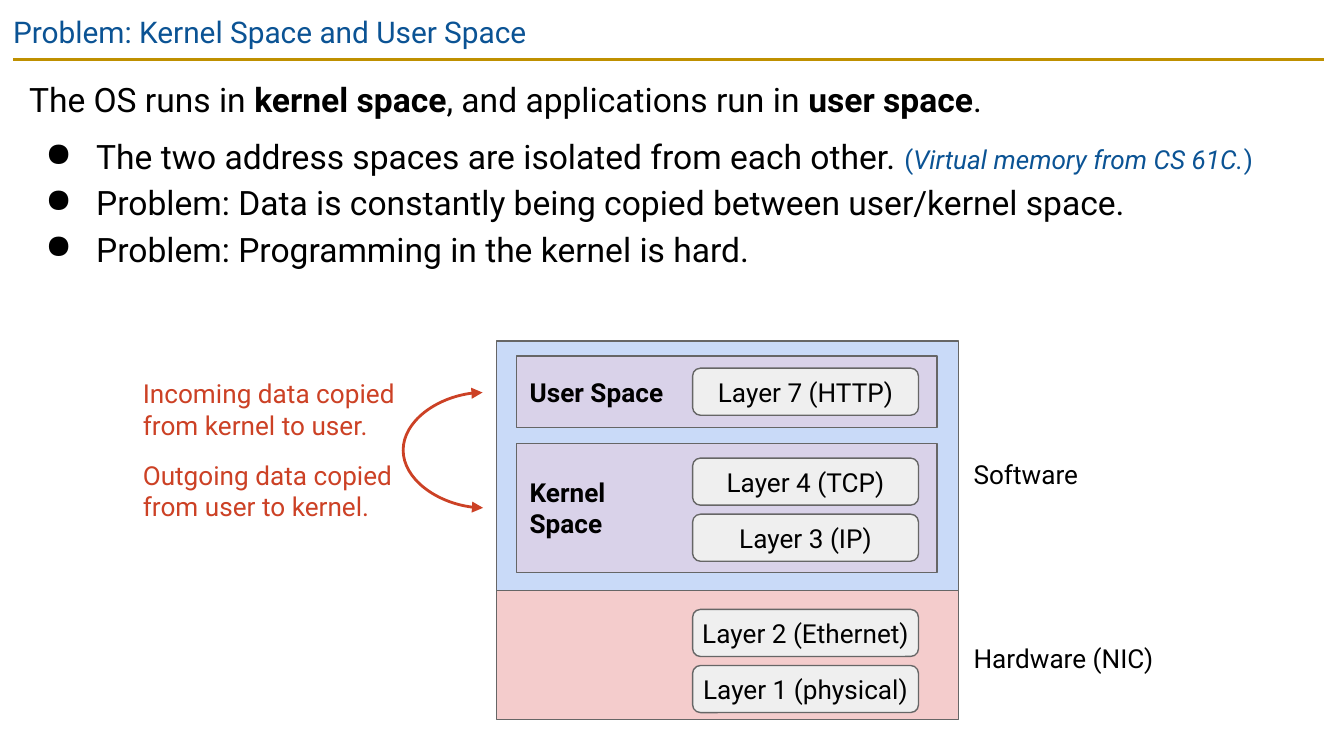
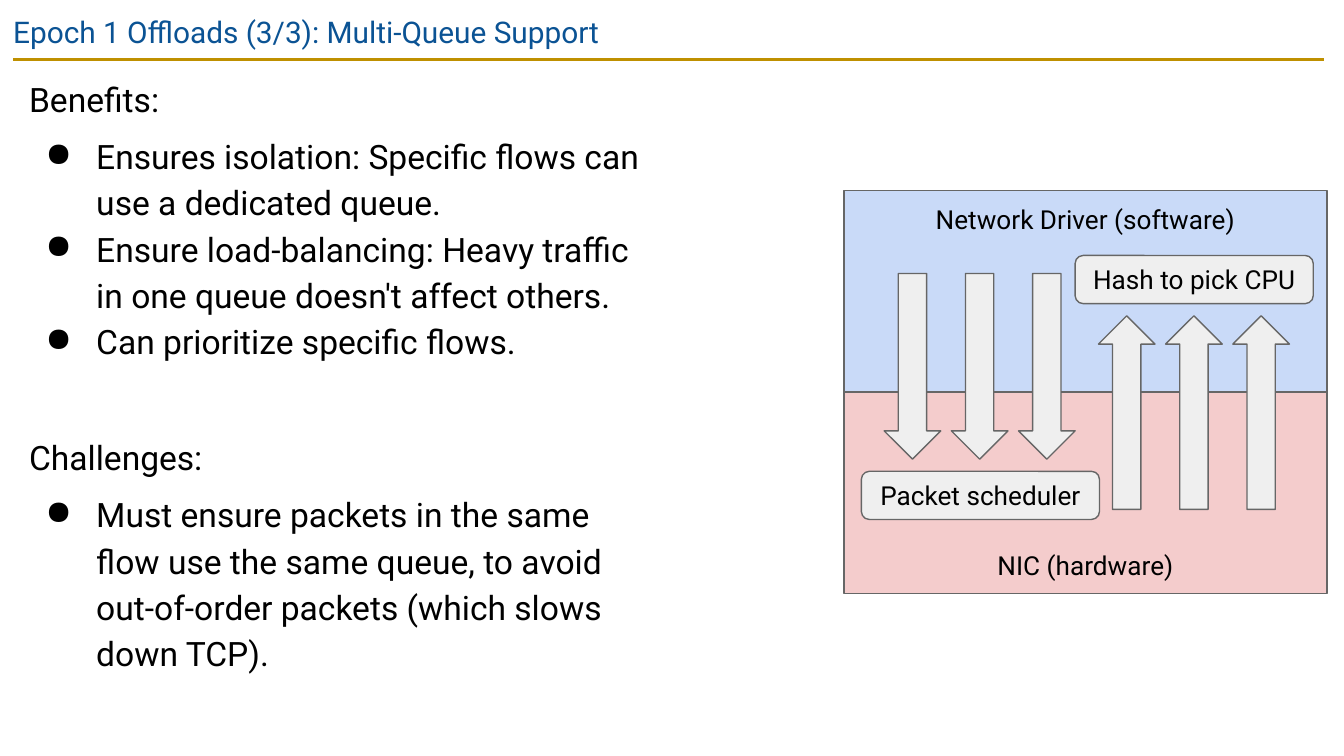
from lxml import etree
from pptx import Presentation
from pptx.dml.color import RGBColor
from pptx.enum.shapes import MSO_CONNECTOR, MSO_SHAPE
from pptx.enum.text import MSO_ANCHOR, MSO_AUTO_SIZE, PP_ALIGN
from pptx.oxml.ns import qn
from pptx.util import Cm, Pt

RECT, ROUND = MSO_SHAPE.RECTANGLE, MSO_SHAPE.ROUNDED_RECTANGLE
DOWN, UP = MSO_SHAPE.DOWN_ARROW, MSO_SHAPE.UP_ARROW
STRAIGHT, CURVE = MSO_CONNECTOR.STRAIGHT, MSO_CONNECTOR.CURVE
TOP, MID, BASE = MSO_ANCHOR.TOP, MSO_ANCHOR.MIDDLE, MSO_ANCHOR.BOTTOM
LEFT, CENTER = PP_ALIGN.LEFT, PP_ALIGN.CENTER
GROW = MSO_AUTO_SIZE.SHAPE_TO_FIT_TEXT

FONT = "Roboto"
BLACK, BLUE, GOLD, RED = "000000", "0B5394", "BF9000", "CC4125"
SKY, PINK, LILAC = "C9DAF8", "F4CCCC", "D9D2E9"
PALE, GREY = "EFEFEF", "666666"
WIDE, SLIM = 0.25, 0.08


def color(code):
    return RGBColor.from_string(code)


def style(run, size=14, code=BLACK, bold=False, italic=False):
    font = run.font
    font.name, font.size = FONT, Pt(size)
    font.bold, font.italic = bold, italic
    font.color.rgb = color(code)


def set_up(frame, pad_x, pad_y, anchor=TOP):
    frame.word_wrap = True
    frame.vertical_anchor = anchor
    frame.margin_left = frame.margin_right = Cm(pad_x)
    frame.margin_top = frame.margin_bottom = Cm(pad_y)


def write(frame, text, align=LEFT, **look):
    frame.text = text
    for par in frame.paragraphs:
        par.alignment = align
        for run in par.runs:
            style(run, **look)


def add_text(slide, box, pad=SLIM):
    frame = slide.shapes.add_textbox(*map(Cm, box)).text_frame
    set_up(frame, pad, pad)
    return frame


def add_note(slide, box, text, code=BLACK):
    frame = add_text(slide, box)
    frame.auto_size = GROW
    write(frame, text, code=code)
    return frame


def add_block(slide, kind, box, fill, text="", pads=(SLIM, SLIM),
              anchor=MID, align=CENTER, bold=False):
    block = slide.shapes.add_shape(kind, *map(Cm, box))
    block.shadow.inherit = False
    block.fill.solid()
    block.fill.fore_color.rgb = color(fill)
    block.line.color.rgb = color(GREY)
    block.line.width = Pt(0.75)
    if text:
        set_up(block.text_frame, *pads, anchor)
        write(block.text_frame, text, align, bold=bold)


def add_line(slide, kind, ends, code):
    line = slide.shapes.add_connector(kind, *map(Cm, ends))
    line.line.color.rgb = color(code)
    line.line.width = Pt(1.5)
    etree.SubElement(line._element.spPr, qn("a:effectLst"))
    return line


def add_curve(slide, x, top, foot, bulge):
    """Draw a double-headed arc that swings left by bulge."""
    span = 0.01
    line = add_line(slide, CURVE, (x, top, x + span, foot), RED)
    props = line._element.spPr
    guides = props.find(qn("a:prstGeom")).get_or_add_avLst()
    ratio = round(-bulge / span * 100000)
    etree.SubElement(guides, qn("a:gd"), name="adj1", fmla=f"val {ratio}")
    for tip in ("a:headEnd", "a:tailEnd"):
        etree.SubElement(props.find(qn("a:ln")), qn(tip), type="triangle")


def add_bullet(par):
    props = par._p.get_or_add_pPr()
    props.set("marL", str(Cm(1.27)))
    props.set("indent", str(-Cm(0.96)))
    tint = etree.SubElement(props, qn("a:buClr"))
    etree.SubElement(tint, qn("a:srgbClr"), val=BLACK)
    etree.SubElement(props, qn("a:buChar"), char="●")


def add_body(slide, box, parts):
    """Write (heading, bullets) parts; each line is a list of (text, look)."""
    frame = add_text(slide, box, WIDE)
    par = None
    for head, items in parts:
        for rank, line in enumerate([head, *items]):
            later = par is not None
            par = frame.add_paragraph() if later else frame.paragraphs[0]
            par.line_spacing = 1.15
            gap = 37 if later and rank == 0 else 6 if rank < 2 else 0
            par.space_before = Pt(gap)
            if rank:
                add_bullet(par)
            for text, look in line:
                run = par.add_run()
                run.text = text
                style(run, **{"size": 18, **look})


def plain(text):
    return [(text, {})]


def add_page(deck, title):
    slide = deck.slides.add_slide(deck.slide_layouts[6])
    add_line(slide, STRAIGHT, (0.25, 1.12, 25.02, 1.12), GOLD)
    frame = add_text(slide, (0, 0, 25.4, 1.09), WIDE)
    write(frame, title, size=16, code=BLUE)
    return slide


def draw_stack(slide, x, y, w):
    """Draw the layer stack with its side labels."""
    add_block(slide, RECT, (x, y, w, 4.72), SKY)
    add_block(slide, RECT, (x, y + 4.71, w, 2.44), PINK)
    spaces = [("User Space", 0.28, 1.35), ("Kernel\vSpace", 1.93, 2.44)]
    for name, top, high in spaces:
        add_block(slide, RECT, (x + 0.38, y + top, w - 0.79, high), LILAC,
                  name, (WIDE, SLIM), align=LEFT, bold=True)
    groups = [
        (0.51, ["Layer 7 (HTTP)"]),
        (2.21, ["Layer 4 (TCP)", "Layer 3 (IP)"]),
        (5.07, ["Layer 2 (Ethernet)", "Layer 1 (physical)"]),
    ]
    for top, names in groups:
        for row, name in enumerate(names):
            box = (x + 3.71, y + top + 1.06 * row, 4.27, 0.89)
            add_block(slide, ROUND, box, PALE, name)
    side = x + w + 0.2
    add_note(slide, (side, y + 2.14, 2.31, 0.76), "Software")
    add_note(slide, (side, y + 5.61, 3.76, 0.76), "Hardware (NIC)")


def draw_copies(slide, x, y):
    """Draw the notes on copied data and their arc."""
    frame = add_note(slide, (x, y, 4.95, 2.9),
                     "Incoming data copied from kernel to user.\n"
                     "Outgoing data copied from user to kernel.", RED)
    last = frame.paragraphs[1]
    last.space_before = last.space_after = Pt(10)
    add_curve(slide, x + 6.5, y + 0.36, y + 2.54, 1.5)


def draw_queues(slide, x, y, w, h):
    """Draw the driver and the NIC with queues between them."""
    half = h / 2
    halves = [("Network Driver (software)", 0, SKY, TOP),
              ("NIC (hardware)", half, PINK, BASE)]
    for name, top, fill, anchor in halves:
        add_block(slide, RECT, (x, y + top, w, half), fill, name,
                  (WIDE, WIDE), anchor)
    flows = [
        (DOWN, 0.76, 1.57, 3.51, "Packet scheduler", 0.33, 5.31),
        (UP, 4.81, 2.37, 3.66, "Hash to pick CPU", 4.37, 1.23),
    ]
    for kind, left, top, high, name, tag_x, tag_y in flows:
        for col in range(3):
            box = (x + left + 1.27 * col, y + top, 1.07, high)
            add_block(slide, kind, box, PALE)
        add_block(slide, ROUND, (x + tag_x, y + tag_y, 4.5, 0.91), PALE,
                  name, (WIDE, WIDE))


def make_spaces(deck):
    slide = add_page(deck, "Problem: Kernel Space and User Space")
    strong, aside = {"bold": True}, {"size": 14, "code": BLUE}
    head = [
        ("The OS runs in ", {}), ("kernel space", strong),
        (", and applications run in ", {}), ("user space", strong), (".", {}),
    ]
    items = [
        [
            ("The two address spaces are isolated from each other. ", {}),
            ("(", aside),
            ("Virtual memory from CS 61C.", {**aside, "italic": True}),
            (")", aside),
        ],
        plain("Problem: Data is constantly being copied between "
              "user/kernel space."),
        plain("Problem: Programming in the kernel is hard."),
    ]
    add_body(slide, (0.3, 1.12, 24.74, 4.39), [(head, items)])
    draw_stack(slide, 9.38, 6.45, 8.74)
    draw_copies(slide, 2.62, 7.06)


def make_queues(deck):
    slide = add_page(deck, "Epoch 1 Offloads (3/3): Multi-Queue Support")
    gains = [
        "Ensures isolation: Specific flows can use a dedicated queue.",
        "Ensure load-balancing: Heavy traffic in one queue doesn't affect "
        "others.",
        "Can prioritize specific flows.",
    ]
    costs = ["Must ensure packets in the same flow use the same queue, to "
             "avoid out-of-order packets (which slows down TCP)."]
    parts = [(plain("Benefits:"), map(plain, gains)),
             (plain("Challenges:"), map(plain, costs))]
    add_body(slide, (0.3, 1.12, 12.17, 12.57), parts)
    draw_queues(slide, 15.95, 3.6, 9.13, 7.62)


def main():
    deck = Presentation()
    deck.slide_width, deck.slide_height = Cm(25.4), Cm(14.29)
    make_spaces(deck)
    make_queues(deck)
    deck.save("out.pptx")


if __name__ == "__main__":
    main()
